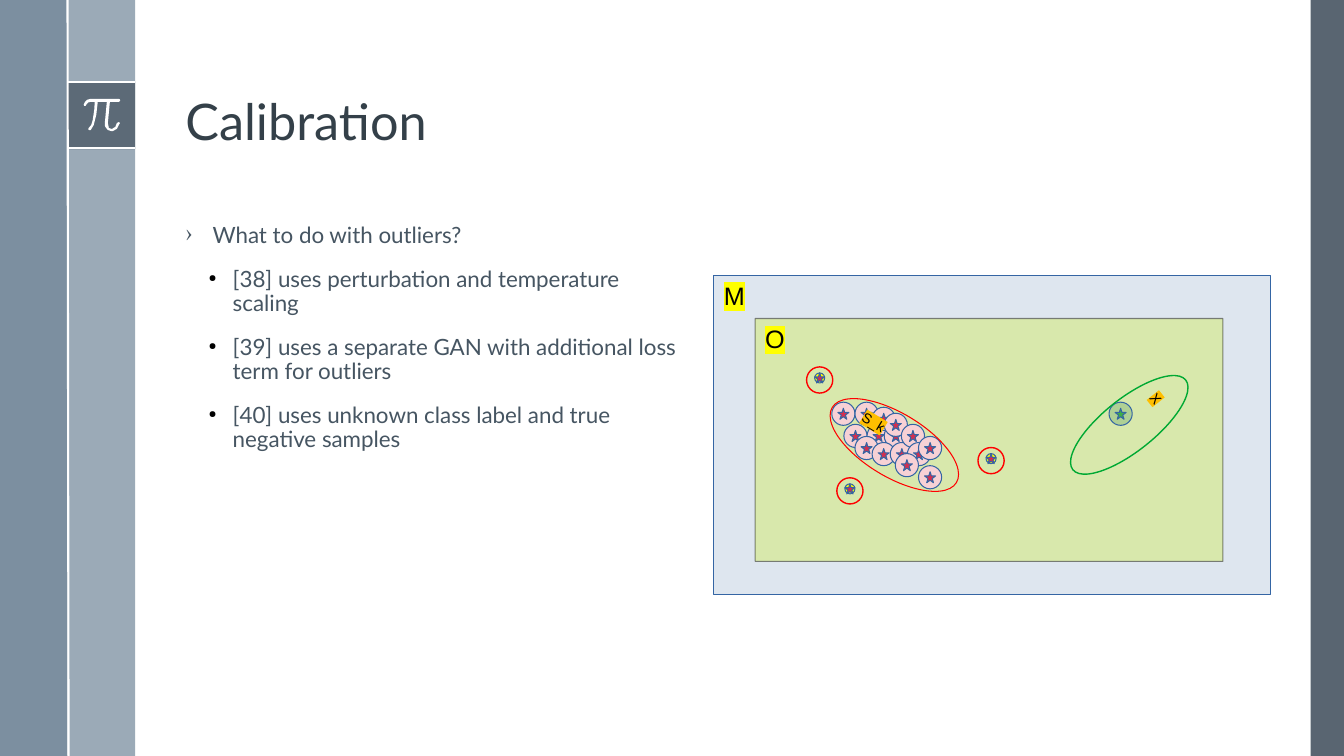
from lxml import etree
from pptx import Presentation
from pptx.dml.color import RGBColor
from pptx.enum.shapes import MSO_CONNECTOR, MSO_SHAPE
from pptx.enum.text import MSO_ANCHOR, PP_ALIGN
from pptx.oxml.ns import qn
from pptx.util import Pt

RECT, OVAL, STAR = MSO_SHAPE.RECTANGLE, MSO_SHAPE.OVAL, MSO_SHAPE.STAR_5_POINT
STRAIGHT = MSO_CONNECTOR.STRAIGHT
TOP, BOTTOM = MSO_ANCHOR.TOP, MSO_ANCHOR.BOTTOM
LEFT = PP_ALIGN.LEFT

SLATE = RGBColor(0x47, 0x55, 0x62)
STEEL = RGBColor(0x6A, 0x80, 0x93)
MIST = RGBColor(0x9B, 0xAA, 0xB7)
TITLE_INK = RGBColor(0x34, 0x40, 0x49)
BODY_INK = RGBColor(0x46, 0x55, 0x62)
BLACK = RGBColor(0, 0, 0)
WHITE = RGBColor(0xFF, 0xFF, 0xFF)
PALE_BLUE = RGBColor(0xDE, 0xE6, 0xEF)
LIME = RGBColor(0xD4, 0xEA, 0x6B)
CHARCOAL = RGBColor(0x11, 0x11, 0x11)
BLUE = RGBColor(0x34, 0x65, 0xA4)
PINK = RGBColor(0xF7, 0xD1, 0xD5)
CRIMSON = RGBColor(0xD6, 0x2E, 0x4E)
RED = RGBColor(0xFF, 0, 0)
SAGE = RGBColor(0xAF, 0xD0, 0x95)
LEAF = RGBColor(0x3F, 0xAF, 0x46)
GREEN = RGBColor(0, 0xA9, 0x33)
YELLOW = RGBColor(0xFF, 0xFF, 0)
AMBER = RGBColor(0xFF, 0xBF, 0)

PX = 9144
PAGE_WIDTH, PAGE_HEIGHT = 1333, 750
TITLE = "Calibration"
BODY = [
    ("What to do with outliers?", 0),
    ("[38] uses perturbation and temperature scaling", 1),
    ("[39] uses a separate GAN with additional loss term for outliers", 1),
    ("[40] uses unknown class label and true negative samples", 1),
]
BULLETS = [(27, 27, "›", BODY_INK, 100), (47, 24, "●", BLACK, 45)]
BARS = [
    (1300, 0, 33, PAGE_HEIGHT, SLATE, 90),
    (67, 0, 67, PAGE_HEIGHT, MIST, 100),
    (0, 0, 67, PAGE_HEIGHT, STEEL, 88),
    (67, 81, 67, 67, SLATE, 75),
]
RULES = [(67, 81, 134, 81), (67, 147, 134, 147), (67, 0, 68, PAGE_HEIGHT)]
PI_OUTLINE = [
    (1180, 980), (900, 980), (865, 990), (842, 1012), (830, 1040), (835, 1050),
    (850, 1050), (858, 1035), (875, 1017), (900, 1010), (940, 1010), (935, 1090),
    (920, 1190), (905, 1240), (880, 1270), (875, 1282), (885, 1290), (900, 1290),
    (930, 1240), (955, 1140), (970, 1010), (1060, 1010), (1040, 1220),
    (1042, 1255), (1070, 1290), (1100, 1300), (1120, 1300), (1160, 1278),
    (1190, 1220), (1180, 1210), (1160, 1220), (1145, 1258), (1110, 1280),
    (1080, 1270), (1070, 1220), (1090, 1010), (1180, 1010), (1192, 1000), (1190, 988),
]
SAMPLES = [
    (825, 399), (848, 399), (837, 421), (860, 421), (865, 404), (877, 421),
    (848, 433), (865, 439), (877, 410), (883, 439), (894, 421), (900, 439),
    (888, 450), (911, 433), (911, 462),
]
NEW_SAMPLE = (1100, 399)
OUTLIERS = [(978, 450), (808, 370), (838, 480)]
SAMPLE_SIZE, SAMPLE_STAR = 23, 11
OUTLIER_SIZE, RING_SIZE = 10, 26

deck = Presentation()
deck.slide_width, deck.slide_height = PAGE_WIDTH * PX, PAGE_HEIGHT * PX
page = deck.slides.add_slide(deck.slide_layouts[6])


def set_alpha(color_holder, percent):
    if percent < 100:
        color = next(color_holder.iter(qn("a:srgbClr")))
        etree.SubElement(color, qn("a:alpha"), val=str(percent * 1000))


def add_shape(kind, left, top, width, height, fill=None, line=None, weight=0, alpha=100):
    shape = page.shapes.add_shape(kind, *(n * PX for n in (left, top, width, height)))
    shape.shadow.inherit = False
    if fill is None:
        shape.fill.background()
    else:
        shape.fill.solid()
        shape.fill.fore_color.rgb = fill
        set_alpha(shape._element.spPr.find(qn("a:solidFill")), alpha)
    if line is None:
        shape.line.fill.background()
    else:
        shape.line.color.rgb = line
        shape.line.width = Pt(weight)
    return shape


def style(para, size, font, color):
    para.alignment = LEFT
    for span in para.runs:
        span.font.size = Pt(size)
        span.font.name = font
        span.font.color.rgb = color


def set_label(shape, text, size, marker):
    frame = shape.text_frame
    frame.word_wrap = True
    frame.vertical_anchor = TOP
    frame.text = text
    para = frame.paragraphs[0]
    style(para, size, "Arial", BLACK)
    latin = para.runs[0].font._element.find(qn("a:latin"))
    highlight = etree.Element(qn("a:highlight"))
    etree.SubElement(highlight, qn("a:srgbClr"), val=str(marker))
    latin.addprevious(highlight)


def add_text_box(left, top, width, height, anchor):
    box = page.shapes.add_textbox(*(n * PX for n in (left, top, width, height)))
    box.text_frame.word_wrap = True
    box.text_frame.vertical_anchor = anchor
    return box.text_frame


def add_bullet(para, level):
    margin, hanging, symbol, color, percent = BULLETS[level]
    props = para._p.get_or_add_pPr()
    props.set("marL", str(margin * PX))
    props.set("indent", str(-hanging * PX))
    bullet_color = etree.SubElement(props, qn("a:buClr"))
    etree.SubElement(bullet_color, qn("a:srgbClr"), val=str(color))
    etree.SubElement(props, qn("a:buSzPct"), val=str(percent * 1000))
    etree.SubElement(props, qn("a:buChar"), char=symbol)


def add_sample(left, top, size, star_size, fill, star_fill):
    inset = (size - star_size) // 2
    add_shape(OVAL, left, top, size, size, fill, BLUE)
    add_shape(STAR, left + inset, top + inset, star_size, star_size, star_fill, BLUE)


for left, top, width, height, fill, alpha in BARS:
    add_shape(RECT, left, top, width, height, fill, alpha=alpha)
for ends in RULES:
    rule = page.shapes.add_connector(STRAIGHT, *(n * PX for n in ends))
    rule.line.color.rgb = WHITE
    rule.line.width = Pt(1.5)
    etree.SubElement(rule._element.spPr, qn("a:effectLst"))

builder = page.shapes.build_freeform(*PI_OUTLINE[0], scale=PX / 10)
builder.add_line_segments(PI_OUTLINE[1:], close=True)
pi_sign = builder.convert_to_shape()
pi_sign.shadow.inherit = False
pi_sign.fill.solid()
pi_sign.fill.fore_color.rgb = WHITE
pi_sign.line.fill.background()

title = add_text_box(174, 19, 1070, 136, BOTTOM)
title.text = TITLE
title.paragraphs[0].line_spacing = 0.9
style(title.paragraphs[0], 36, "Lato", TITLE_INK)

body = add_text_box(174, 218, 516, 457, TOP)
body.text = "\n".join(text for text, level in BODY)
for index, (para, (text, level)) in enumerate(zip(body.paragraphs, BODY)):
    para.level = level
    add_bullet(para, level)
    para.line_spacing = 0.9
    if index:
        para.space_before = Pt(14)
    style(para, 16, "Lato", BODY_INK)

set_label(add_shape(RECT, 708, 273, 552, 317, PALE_BLUE, BLUE), "M", 18, YELLOW)
observed = add_shape(RECT, 749, 316, 464, 241, LIME, CHARCOAL, alpha=50)
set_alpha(observed.line._get_or_add_ln(), 50)
set_label(observed, "O", 18, YELLOW)

for left, top in SAMPLES:
    add_sample(left, top, SAMPLE_SIZE, SAMPLE_STAR, PINK, CRIMSON)
known = add_shape(OVAL, 815, 410, 144, 63, line=RED)
known.rotation = 31.2
set_label(known, "S_k", 10, AMBER)

add_sample(*NEW_SAMPLE, SAMPLE_SIZE, SAMPLE_STAR, SAGE, LEAF)
unknown = add_shape(OVAL, 1094, 350, 52, 143, line=GREEN, weight=1)
unknown.rotation = 51.5
set_label(unknown, "X", 10, AMBER)

for left, top in OUTLIERS:
    add_sample(left, top, OUTLIER_SIZE, OUTLIER_SIZE, YELLOW, CRIMSON)
    add_shape(OVAL, left - 8, top - 6, RING_SIZE, RING_SIZE, line=RED, weight=1)

deck.save("out.pptx")
